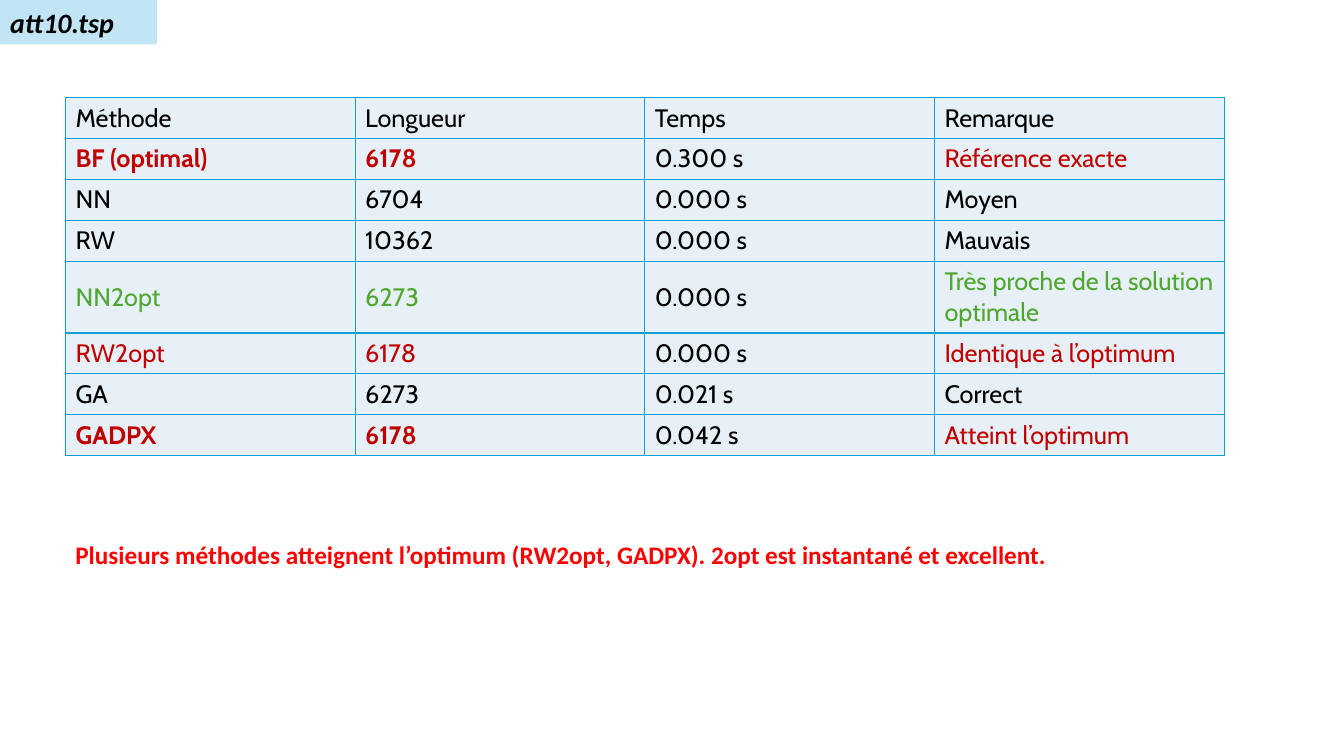
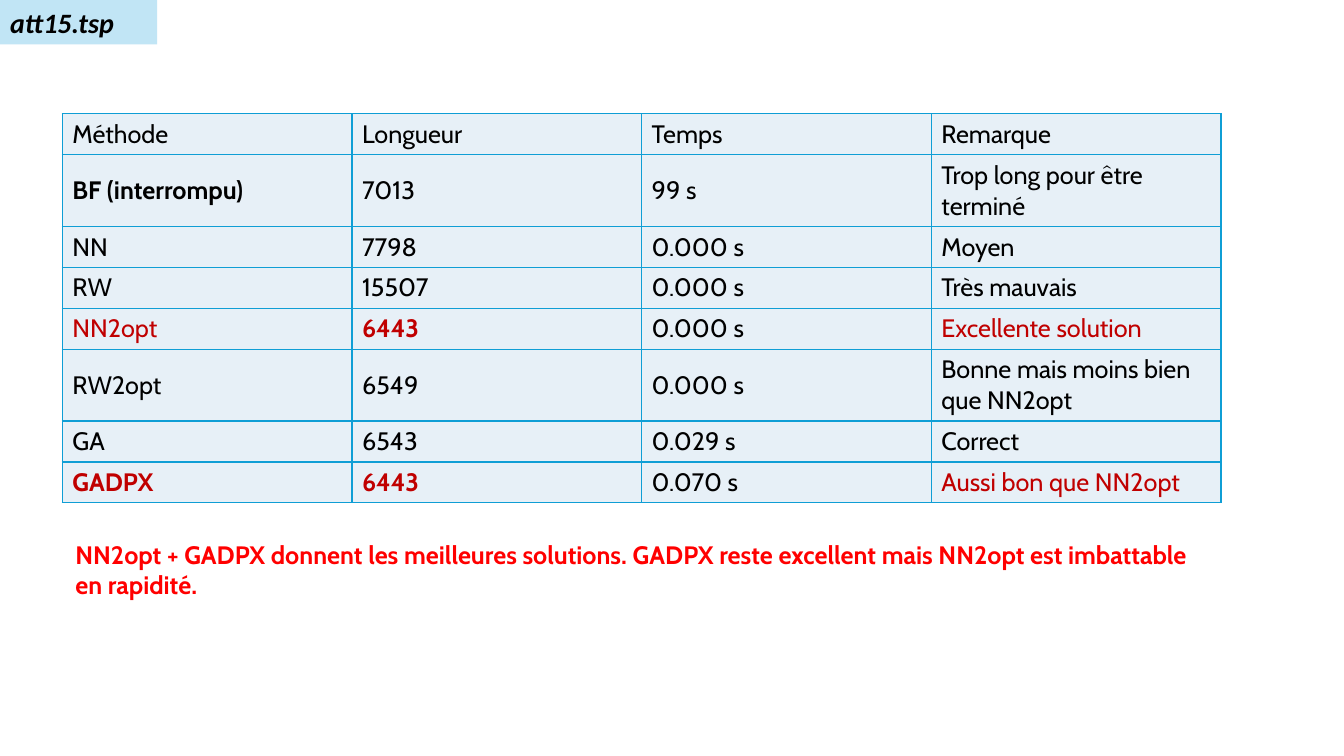
from lxml import etree
from pptx import Presentation
from pptx import util as u
from pptx.dml import color
from pptx.enum import text
from pptx.oxml import ns

BLACK = color.RGBColor(0x00, 0x00, 0x00)
CRIMSON = color.RGBColor(0xC0, 0x00, 0x00)
GREEN = color.RGBColor(0x4E, 0xA7, 0x2E)
RED = color.RGBColor(0xFF, 0x00, 0x00)
TAB_BLUE = color.RGBColor(0xC1, 0xE5, 0xF5)
CELL_BLUE = color.RGBColor(0xE7, 0xF0, 0xF7)
BORDER_BLUE = color.RGBColor(0x0F, 0x9E, 0xD5)

TAB_BOX = (0, 0, 3.96, 1.12)
NOTE_BOX = (1.65, 13.46, 29.2, 1.02)
TABLE_WIDTH = 29.2
LINE_ROW, WRAPPED_ROW = 1.03, 1.81
REMARK_LIMIT = 24
TIME_COLUMN = 2
HEADINGS = (("Méthode", "Longueur", "Temps", "Remarque"), BLACK, ())

RESULTS = [
    {
        "title": "att10.tsp",
        "corner": (1.65, 2.46),
        "rows": [
            (("BF (optimal)", "6178", "0.300 s", "Référence exacte"), CRIMSON, (0, 1)),
            (("NN", "6704", "0.000 s", "Moyen"), BLACK, ()),
            (("RW", "10362", "0.000 s", "Mauvais"), BLACK, ()),
            (("NN2opt", "6273", "0.000 s", "Très proche de la solution optimale"), GREEN, ()),
            (("RW2opt", "6178", "0.000 s", "Identique à l’optimum"), CRIMSON, ()),
            (("GA", "6273", "0.021 s", "Correct"), BLACK, ()),
            (("GADPX", "6178", "0.042 s", "Atteint l’optimum"), CRIMSON, (0, 1)),
        ],
        "note": "Plusieurs méthodes atteignent l’optimum (RW2opt, GADPX). "
                "2opt est instantané et excellent.",
        "note_font": "Calibri",
    },
    {
        "title": "att15.tsp",
        "corner": (1.57, 2.87),
        "rows": [
            (("BF (interrompu)", "7013", "99 s", "Trop long pour être terminé"), BLACK, (0,)),
            (("NN", "7798", "0.000 s", "Moyen"), BLACK, ()),
            (("RW", "15507", "0.000 s", "Très mauvais"), BLACK, ()),
            (("NN2opt", "6443", "0.000 s", "Excellente solution"), CRIMSON, (1,)),
            (("RW2opt", "6549", "0.000 s", "Bonne mais moins bien que NN2opt"), BLACK, ()),
            (("GA", "6543", "0.029 s", "Correct"), BLACK, ()),
            (("GADPX", "6443", "0.070 s", "Aussi bon que NN2opt"), CRIMSON, (0, 1)),
        ],
        "note": "NN2opt + GADPX donnent les meilleures solutions. "
                "GADPX reste excellent mais NN2opt est imbattable en rapidité.",
        "note_font": "Cabin",
    },
]


def write_text(frame, words, font="Cabin", size=18, ink=BLACK, bold=False, italic=False):
    para = frame.paragraphs[0]
    para.alignment = text.PP_ALIGN.LEFT
    span = para.add_run()
    span.text = words
    span.font.name = font
    span.font.size = u.Pt(size)
    span.font.color.rgb = ink
    span.font.bold = bold
    span.font.italic = italic


def add_title_tab(page, box, words):
    tab = page.shapes.title
    tab.left, tab.top, tab.width, tab.height = map(u.Cm, box)
    tab.fill.solid()
    tab.fill.fore_color.rgb = TAB_BLUE
    frame = tab.text_frame
    frame.auto_size = text.MSO_AUTO_SIZE.NONE
    frame.vertical_anchor = text.MSO_ANCHOR.MIDDLE
    write_text(frame, words, font="Calibri", size=20, bold=True, italic=True)


def add_borders(cell):
    properties = cell._tc.get_or_add_tcPr()
    for side in ("lnL", "lnR", "lnT", "lnB"):
        line = etree.SubElement(properties, ns.qn(f"a:{side}"), w=str(u.Pt(1)))
        fill = etree.SubElement(line, ns.qn("a:solidFill"))
        etree.SubElement(fill, ns.qn("a:srgbClr"), val=str(BORDER_BLUE))


def add_results_table(page, corner, width, rows):
    heights = [WRAPPED_ROW if len(cells[-1]) > REMARK_LIMIT else LINE_ROW
               for cells, _, _ in rows]
    columns = len(rows[0][0])
    left, top = corner
    table = page.shapes.add_table(len(rows), columns, u.Cm(left), u.Cm(top),
                                  u.Cm(width), u.Cm(sum(heights))).table
    table.first_row = False
    table.horz_banding = False
    for column in table.columns:
        column.width = u.Cm(width / columns)
    for row, (cells, ink, bold_columns) in enumerate(rows):
        table.rows[row].height = u.Cm(heights[row])
        for column, words in enumerate(cells):
            cell = table.cell(row, column)
            add_borders(cell)
            cell.fill.solid()
            cell.fill.fore_color.rgb = CELL_BLUE
            cell.vertical_anchor = text.MSO_ANCHOR.MIDDLE
            write_text(cell.text_frame, words,
                       ink=BLACK if column == TIME_COLUMN else ink,
                       bold=column in bold_columns)


def add_note(page, box, words, font):
    frame = page.shapes.add_textbox(*map(u.Cm, box)).text_frame
    frame.word_wrap = True
    frame.auto_size = text.MSO_AUTO_SIZE.SHAPE_TO_FIT_TEXT
    write_text(frame, words, font=font, ink=RED, bold=True)


def add_results_page(deck, result):
    page = deck.slides.add_slide(deck.slide_layouts.get_by_name("Title Only"))
    add_results_table(page, result["corner"], TABLE_WIDTH, [HEADINGS] + result["rows"])
    add_note(page, NOTE_BOX, result["note"], result["note_font"])
    add_title_tab(page, TAB_BOX, result["title"])


def main():
    deck = Presentation()
    deck.slide_width, deck.slide_height = u.Cm(33.87), u.Cm(19.05)
    for result in RESULTS:
        add_results_page(deck, result)
    deck.save("out.pptx")


if __name__ == "__main__":
    main()
